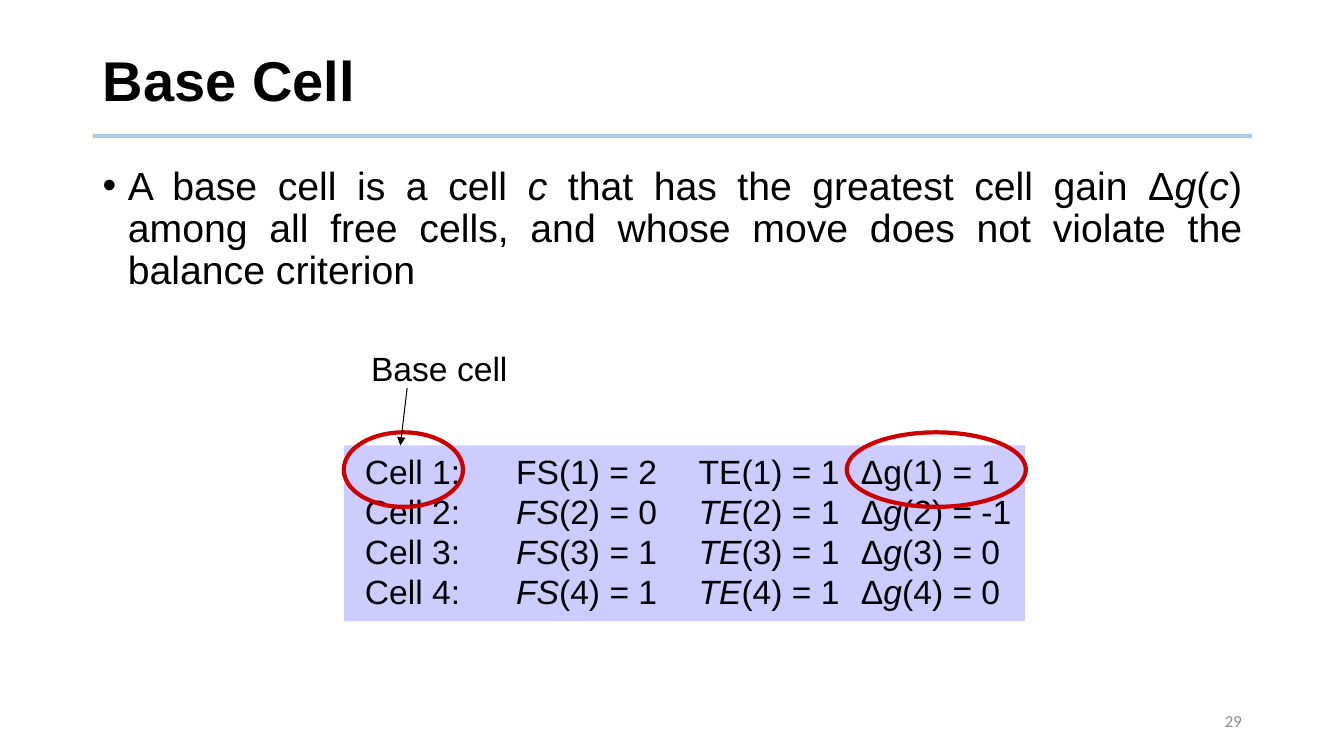
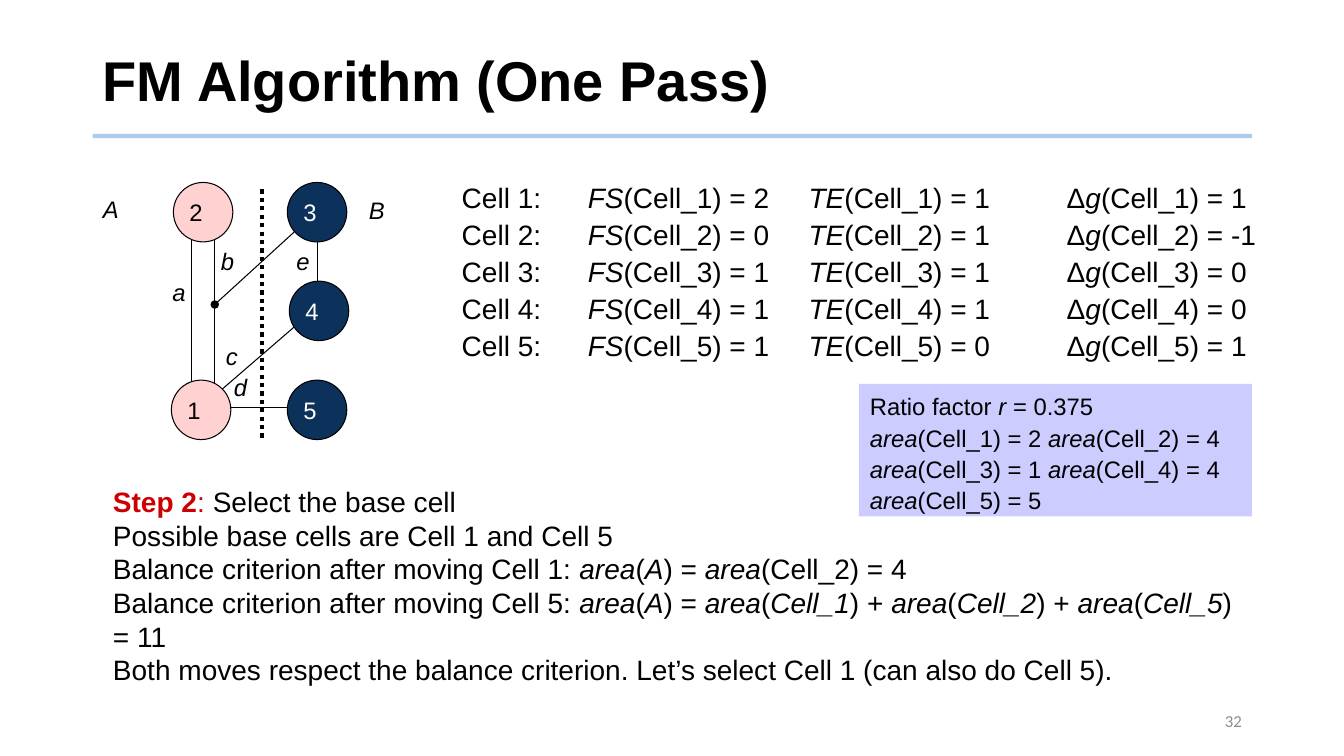
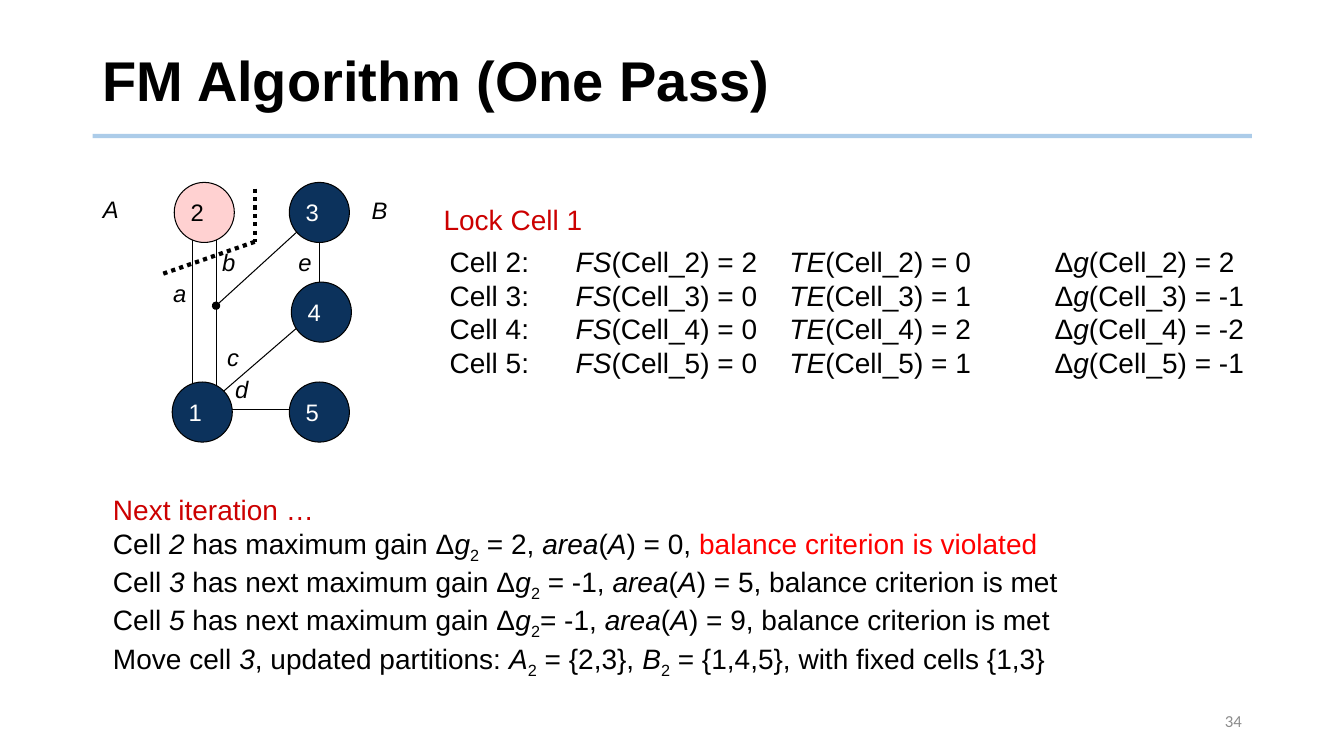
from collections import namedtuple
from itertools import pairwise

from lxml.etree import SubElement
from pptx import Presentation
from pptx.dml.color import RGBColor
from pptx.enum.dml import MSO_LINE_DASH_STYLE as Dash
from pptx.enum.shapes import MSO_CONNECTOR as Connector, MSO_SHAPE as Preset
from pptx.enum.text import MSO_ANCHOR as Anchor, MSO_AUTO_SIZE as AutoSize, PP_ALIGN as Align
from pptx.oxml.ns import qn
from pptx.util import Inches, Pt

COLORS = {
    "ink": "000000", "paper": "FFFFFF", "rule": "5B9BD5", "page": "8C8C8C",
    "panel": "CCCCFF", "accent": "CC0000", "alert": "FF0000",
    "side_a": "FFD1D1", "side_b": "0C325C",
}
MARKS = {"*": "italic", "^": "bold", "~": "subscript", "!": "accent", "§": "alert"}
WIDE_INSETS = (0.21, 0.05, 0.1, 0.07)
SMALL_INSETS = (0.11, 0.05, 0.11, 0.05)
PLAIN_INSETS = (0.1, 0.05, 0.1, 0.05)

EDGES = [
    (40.67, 16.9, 40.67, 87.5), (74.67, 9.4, 74.67, 47.8), (33, 11, 33, 81.6),
    (73.67, 49.4, 39.33, 84.3), (38.67, 87.5, 77.67, 87.5),
]
JUNCTION_EDGE = (40.67, 47.5, 74.67, 11)
NODES = {1: (26.33, 76.9), 2: (27, 0), 3: (64.67, 0), 4: (65.33, 38.4), 5: (64.67, 76.9)}
LABELS = {
    "A": (0, 2.75), "B": (88, 3.1), "a": (23, 35.3), "b": (39, 23.1),
    "c": (40.67, 60), "d": (43.33, 72.2), "e": (64, 23.1),
}


class Box(namedtuple("Box", "left top width height")):
    """A rectangle in inches whose regions are given in percent of its size."""

    def point(self, x, y):
        """Return the point at x and y percent of the box."""
        return self.left + self.width * x / 100, self.top + self.height * y / 100

    def region(self, x, y, width, height):
        """Return the inner box at the given percentages."""
        return Box(*self.point(x, y), self.width * width / 100, self.height * height / 100)

    def lengths(self):
        """Return the four sides as slide lengths."""
        return [Inches(side) for side in self]


SLIDE = Box(0, 0, 13.33, 7.5)


def color(name):
    """Look up a named colour."""
    return RGBColor.from_string(COLORS[name])


def add_runs(paragraph, text, size, ink="ink", font="Arial", bold=False):
    """Add text run by run, each mark character switching its style on or off."""
    active, pieces = set(), [("", set())]
    for letter in text:
        if letter in MARKS:
            active ^= {MARKS[letter]}
            pieces.append(("", set(active)))
        else:
            pieces[-1] = (pieces[-1][0] + letter, pieces[-1][1])
    for piece, styles in pieces:
        if not piece:
            continue
        run = paragraph.add_run()
        run.text = piece
        run.font.name, run.font.size = font, Pt(size)
        run.font.bold = bold or "bold" in styles
        run.font.italic = "italic" in styles
        tint = next((name for name in ("accent", "alert") if name in styles), ink)
        run.font.color.rgb = color(tint)
        if "subscript" in styles:
            run.font._element.set("baseline", "-25000")


def write(shape, lines, size, insets=PLAIN_INSETS, anchor=Anchor.TOP, align=Align.LEFT,
          spacing=None, tabs=(), bullet=False, **style):
    """Fill a shape with one paragraph per line."""
    frame = shape.text_frame
    frame.word_wrap, frame.auto_size = True, AutoSize.NONE
    frame.vertical_anchor = anchor
    frame.margin_left, frame.margin_top, frame.margin_right, frame.margin_bottom = map(Inches, insets)
    for index, line in enumerate(lines):
        paragraph = frame.paragraphs[0] if index == 0 else frame.add_paragraph()
        paragraph.alignment = align
        if spacing:
            paragraph.line_spacing = spacing
        properties = paragraph._p.get_or_add_pPr()
        if bullet:
            properties.set("marL", str(Inches(0.25)))
            properties.set("indent", str(-Inches(0.25)))
            SubElement(properties, qn("a:buFont")).set("typeface", "Arial")
            SubElement(properties, qn("a:buChar")).set("char", "•")
        if tabs:
            tab_list = SubElement(properties, qn("a:tabLst"))
            for position in tabs:
                SubElement(tab_list, qn("a:tab"), pos=str(Inches(position)), algn="l")
        add_runs(paragraph, line, size, **style)


def add_text(slide, box, lines, size, **style):
    """Add a text box."""
    shape = slide.shapes.add_textbox(*box.lengths())
    write(shape, lines, size, **style)


def add_preset(slide, preset, box, fill=None, line=None, weight=0.75):
    """Add a preset shape with an optional fill and outline."""
    shape = slide.shapes.add_shape(preset, *box.lengths())
    shape.shadow.inherit = False
    if fill:
        shape.fill.solid()
        shape.fill.fore_color.rgb = color(fill)
    else:
        shape.fill.background()
    if line:
        shape.line.color.rgb = color(line)
        shape.line.width = Pt(weight)
    else:
        shape.line.fill.background()
    return shape


def add_line(slide, start, end, ink="ink", weight=0.75, dash=None, head=None, tail=None):
    """Add a straight line with optional dash and end marks."""
    ends = [Inches(value) for value in (*start, *end)]
    line = slide.shapes.add_connector(Connector.STRAIGHT, *ends)
    line.line.color.rgb = color(ink)
    line.line.width = Pt(weight)
    if dash:
        line.line.dash_style = dash
    outline = line.line._get_or_add_ln()
    for tag, mark in (("a:headEnd", head), ("a:tailEnd", tail)):
        if mark:
            SubElement(outline, qn(tag)).set("type", mark)
    SubElement(line._element.spPr, qn("a:effectLst"))
    return line


def add_layout_rule(slide, layout):
    """Move one half-transparent title rule to the layout that all slides share."""
    rule = add_line(slide, SLIDE.point(6.9, 18), SLIDE.point(93.15, 18), "rule", 3)
    tint = next(rule._element.iter(qn("a:srgbClr")))
    SubElement(tint, qn("a:alpha")).set("val", "50000")
    layout.shapes.element.append(rule._element)


def start_slide(presentation, title, number):
    """Add a slide with its title and page number."""
    slide = presentation.slides.add_slide(presentation.slide_layouts[5])
    heading = slide.shapes.title
    title_box = SLIDE.region(6.9, 3.73, 86.25, 14.67)
    heading.left, heading.top, heading.width, heading.height = title_box.lengths()
    write(heading, [title], 40, anchor=Anchor.MIDDLE, spacing=0.9, bold=True)
    add_text(slide, SLIDE.region(70.65, 92.67, 22.5, 5.33), [str(number)], 12,
             anchor=Anchor.MIDDLE, align=Align.RIGHT, ink="page", font="Calibri")
    return slide


def gain_lines(rows, prefix="Cell_"):
    """Return one tabbed line for each cell, FS, TE and gain."""
    return [
        f"Cell {cell}:\t*FS*({prefix}{cell}) = {fs}\t*TE*({prefix}{cell}) = {te}"
        f"\tΔ*g*({prefix}{cell}) = {gain}"
        for cell, fs, te, gain in rows
    ]


def add_gain_panel(slide, box):
    """Add the gain panel with its base cell circled and named."""
    panel = add_preset(slide, Preset.RECTANGLE, box, "panel")
    first, *others = gain_lines([(1, 2, 1, 1), (2, 0, 1, -1), (3, 1, 1, 0), (4, 1, 1, 0)], "")
    write(panel, [first.replace("*", ""), *others], 24, insets=(0.21, 0.05, 0, 0.07),
          tabs=(1.5, 3.31, 4.92))
    for left, width in ((0, 17.5), (73.8, 26.3)):
        add_preset(slide, Preset.OVAL, box.region(left, -7.5, width, 42.5), line="accent", weight=3)
    add_text(slide, box.region(0.9, -58.6, 27, 30), ["Base cell"], 24, insets=WIDE_INSETS)
    add_line(slide, box.point(9.3, -32.8), box.point(8.3, 0), tail="triangle")


def add_graph(slide, box, side_a, cut):
    """Add the cell graph, its two partitions and the dotted cut."""
    add_line(slide, box.point(*JUNCTION_EDGE[:2]), box.point(*JUNCTION_EDGE[2:]), head="oval")
    for edge in EDGES:
        add_line(slide, box.point(*edge[:2]), box.point(*edge[2:]))
    for cell, (x, y) in NODES.items():
        in_a = cell in side_a
        node = add_preset(slide, Preset.OVAL, box.region(x, y, 19.67, 23.14),
                          "side_a" if in_a else "side_b", "ink")
        write(node, [str(cell)], 17, insets=(0, 0, 0.14, 0), anchor=Anchor.MIDDLE,
              align=Align.CENTER, ink="ink" if in_a else "paper")
    for start, end in pairwise(cut):
        add_line(slide, box.point(*start), box.point(*end), weight=3, dash=Dash.ROUND_DOT)
    for label, (x, y) in LABELS.items():
        add_text(slide, box.region(x, y, 20, 16), [f"*{label}*"], 17, insets=SMALL_INSETS)


def add_base_cell_slide(presentation):
    """Define the base cell and show it among the gains."""
    slide = start_slide(presentation, "Base Cell", 29)
    definition = ("A base cell is a cell *c* that has the greatest cell gain Δ*g*(*c*) "
                  "among all free cells, and whose move does not violate the balance criterion")
    add_text(slide, SLIDE.region(6.9, 21.33, 86.25, 24), [definition], 28,
             align=Align.JUSTIFY, spacing=0.9, bullet=True)
    add_gain_panel(slide, SLIDE.region(25.58, 58.93, 50.7, 23.2))
    return slide


def add_selection_slide(presentation):
    """Show the step that selects the base cell."""
    slide = start_slide(presentation, "FM Algorithm (One Pass)", 32)
    add_graph(slide, SLIDE.region(6.83, 24.13, 22.5, 34), {1, 2}, [(56.33, 2.75), (56.33, 100)])
    add_text(slide, SLIDE.region(6.83, 63.33, 86.25, 28.53), [
        "!^Step 2^: !Select the base cell",
        "Possible base cells are Cell 1 and Cell 5",
        "Balance criterion after moving Cell 1: *area*(*A*) = *area*(Cell_2) = 4",
        "Balance criterion after moving Cell 5: *area*(*A*) = *area*(*Cell_1*) + "
        "*area*(*Cell_2*) + *area*(*Cell_5*) = 11",
        "Both moves respect the balance criterion. Let’s select Cell 1 (can also do Cell 5).",
    ], 20, insets=WIDE_INSETS, anchor=Anchor.MIDDLE)
    rows = [(1, 2, 1, 1), (2, 0, 1, -1), (3, 1, 1, 0), (4, 1, 1, 0), (5, 1, 0, 1)]
    add_text(slide, SLIDE.region(32.78, 22.8, 64.1, 26), gain_lines(rows), 20, insets=WIDE_INSETS,
             anchor=Anchor.MIDDLE, spacing=1.1, tabs=(1.25, 3.44, 6))
    areas = add_preset(slide, Preset.RECTANGLE, SLIDE.region(63.9, 50.8, 29.25, 17.5), "panel")
    write(areas, [
        "Ratio factor *r* = 0.375",
        "*area*(Cell_1) = 2 *area*(Cell_2) = 4",
        "*area*(Cell_3) = 1 *area*(Cell_4) = 4",
        "*area*(Cell_5) = 5",
    ], 17, insets=SMALL_INSETS, spacing=1.1)


def add_iteration_slide(presentation):
    """Show the state after cell 1 is locked and the next iteration."""
    slide = start_slide(presentation, "FM Algorithm (One Pass)", 34)
    add_graph(slide, SLIDE.region(6.83, 24.13, 22.73, 34.34), {2},
              [(53.33, 2.4), (53.33, 22.9), (23, 35.3)])
    add_text(slide, SLIDE.region(6.83, 65.6, 86.25, 24.13), [
        "!Next iteration …!",
        "Cell *2* has maximum gain Δ*g*~2~ = 2, *area*(*A*) = 0, §balance criterion is violated§",
        "Cell *3* has next maximum gain Δ*g*~2~ = -1, *area*(*A*) = 5, balance criterion is met",
        "Cell *5* has next maximum gain Δ*g*~2~= -1, *area*(*A*) = 9, balance criterion is met",
        "Move cell *3*, updated partitions: *A*~2~ = {2,3}, *B*~2~ = {1,4,5}, with fixed cells {1,3}",
    ], 20, insets=WIDE_INSETS, anchor=Anchor.MIDDLE)
    rows = [(2, 2, 0, 2), (3, 0, 1, -1), (4, 0, 2, -2), (5, 0, 1, -1)]
    add_text(slide, SLIDE.region(31.88, 31.6, 64.1, 19.6), gain_lines(rows), 20,
             insets=WIDE_INSETS, anchor=Anchor.MIDDLE, tabs=(1.25, 3.37, 6))
    add_text(slide, SLIDE.region(31.43, 26.13, 16.9, 6.13), ["Lock Cell 1"], 20,
             insets=WIDE_INSETS, ink="accent")


def main():
    """Build and save the presentation."""
    presentation = Presentation()
    presentation.slide_width, presentation.slide_height = Inches(SLIDE.width), Inches(SLIDE.height)
    first = add_base_cell_slide(presentation)
    add_layout_rule(first, first.slide_layout)
    add_selection_slide(presentation)
    add_iteration_slide(presentation)
    presentation.save("out.pptx")


if __name__ == "__main__":
    main()
